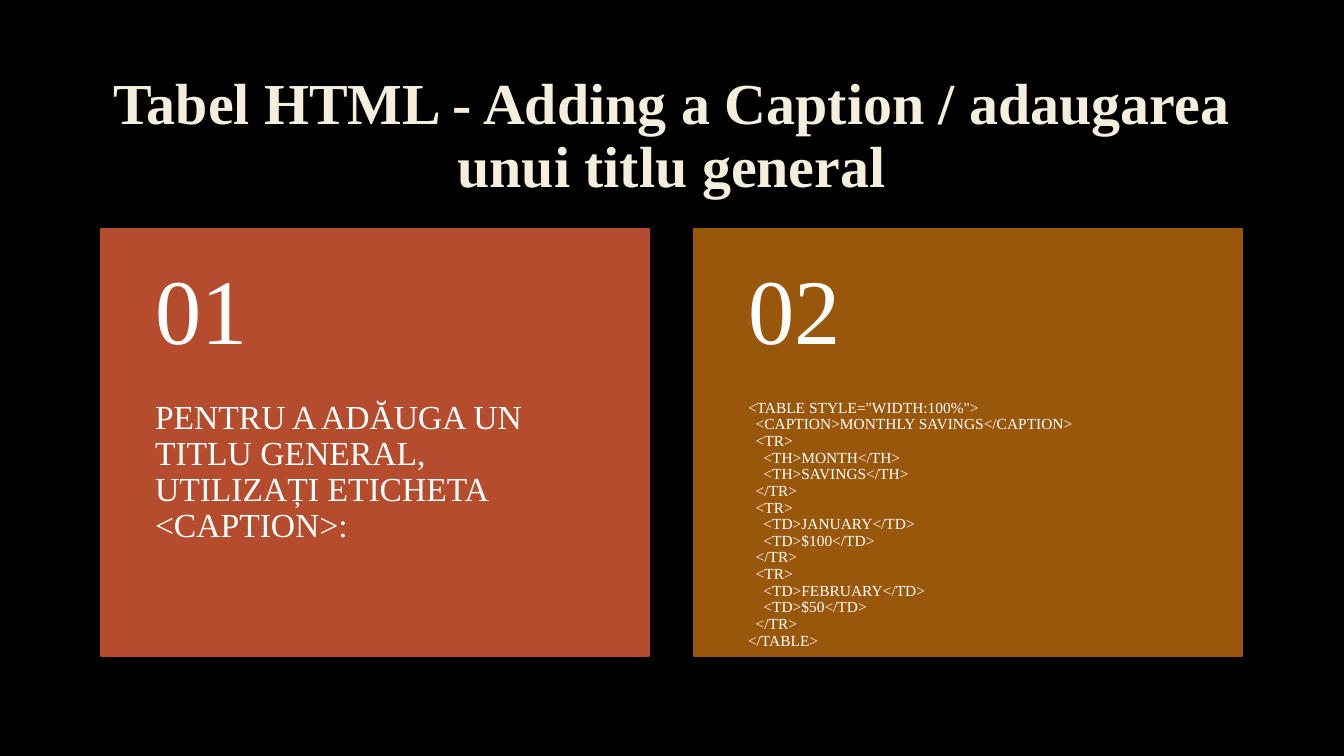
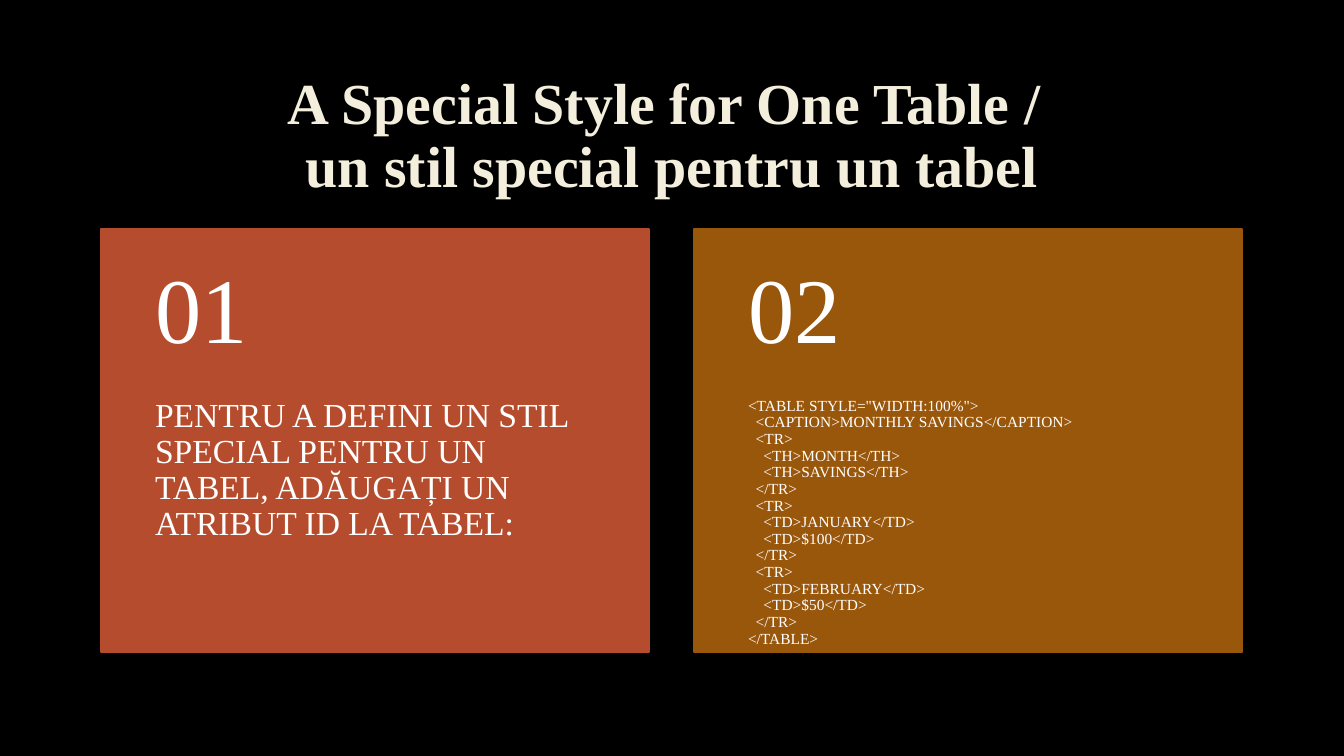
from pptx import Presentation
from pptx.dml.color import RGBColor
from pptx.enum.shapes import MSO_SHAPE
from pptx.enum.text import MSO_ANCHOR, PP_ALIGN
from pptx.util import Pt

EMU_PER_PX = 914400 / 100.8

BLACK = RGBColor(0x00, 0x00, 0x00)
CREAM = RGBColor(0xF4, 0xEE, 0xDC)
WHITE = RGBColor(0xFF, 0xFF, 0xFF)
RUST = RGBColor(0xB5, 0x4C, 0x2D)
BROWN = RGBColor(0x99, 0x57, 0x0C)
FONT = "Times New Roman"

LEFT = 101
CONTENT_WIDTH = 1141
CARD_TOP = 229
CARD_WIDTH = 548
CARD_STEP = CONTENT_WIDTH - CARD_WIDTH
NUMBER_SHARE = 0.4

TABLE_CODE = """<TABLE STYLE="WIDTH:100%">
  <CAPTION>MONTHLY SAVINGS</CAPTION>
  <TR>
    <TH>MONTH</TH>
    <TH>SAVINGS</TH>
  </TR>
  <TR>
    <TD>JANUARY</TD>
    <TD>$100</TD>
  </TR>
  <TR>
    <TD>FEBRUARY</TD>
    <TD>$50</TD>
  </TR>
</TABLE>"""

# Title, explanation, card height
SLIDES = [
    ("Tabel HTML - Adding a Caption / adaugarea unui titlu general",
     "PENTRU A ADĂUGA UN TITLU GENERAL, UTILIZAȚI ETICHETA <CAPTION>:",
     427),
    ("A Special Style for One Table / \vun stil special pentru un tabel",
     "PENTRU A DEFINI UN STIL SPECIAL PENTRU UN TABEL, "
     "ADĂUGAȚI UN ATRIBUT ID LA TABEL:",
     423),
]


def px(length):
    return round(length * EMU_PER_PX)


def add_text(slide, text, box, *, size, color=WHITE, bold=False,
             align=PP_ALIGN.LEFT, anchor=MSO_ANCHOR.TOP, insets=(10, 5, 10, 5)):
    """Add one paragraph per line; leading spaces become a paragraph indent."""
    frame = slide.shapes.add_textbox(*map(px, box)).text_frame
    frame.word_wrap = True
    frame.vertical_anchor = anchor
    (frame.margin_left, frame.margin_top,
     frame.margin_right, frame.margin_bottom) = map(px, insets)
    for index, line in enumerate(text.split("\n")):
        paragraph = frame.add_paragraph() if index else frame.paragraphs[0]
        paragraph.text = line.lstrip(" ")
        paragraph.alignment = align
        paragraph.line_spacing = 0.9
        spaces = len(line) - len(line.lstrip(" "))
        if spaces:
            # A space in this font is a quarter of the type size wide.
            paragraph._p.get_or_add_pPr().set("marL", str(Pt(size * spaces / 4)))
        for run in paragraph.runs:
            run.font.name = FONT
            run.font.size = Pt(size)
            run.font.bold = bold
            run.font.color.rgb = color


prs = Presentation()
prs.slide_width, prs.slide_height = px(1344), px(756)
background = prs.slide_master.background.fill
background.solid()
background.fore_color.rgb = BLACK

for title, explanation, card_height in SLIDES:
    slide = prs.slides.add_slide(prs.slide_layouts[6])
    add_text(slide, title, (LEFT, 68, CONTENT_WIDTH, 139), size=41.4, color=CREAM,
             bold=True, align=PP_ALIGN.CENTER, anchor=MSO_ANCHOR.MIDDLE)

    number_height = round(card_height * NUMBER_SHARE)
    cards = [(RUST, explanation, 24), (BROWN, TABLE_CODE, 11)]
    for index, (card_color, body, body_size) in enumerate(cards):
        left = LEFT + index * CARD_STEP
        card = slide.shapes.add_shape(
            MSO_SHAPE.RECTANGLE,
            *map(px, (left, CARD_TOP, CARD_WIDTH, card_height)))
        card.shadow.inherit = False
        card.fill.solid()
        card.fill.fore_color.rgb = card_color
        card.line.color.rgb = card_color
        card.line.width = Pt(1.25)

        add_text(slide, body,
                 (left, CARD_TOP + number_height,
                  CARD_WIDTH, card_height - number_height),
                 size=body_size, insets=(54, 0, 54, 36))
        add_text(slide, f"{index + 1:02}",
                 (left, CARD_TOP, CARD_WIDTH, number_height),
                 size=66, anchor=MSO_ANCHOR.MIDDLE, insets=(54, 18, 54, 18))

prs.save("out.pptx")
